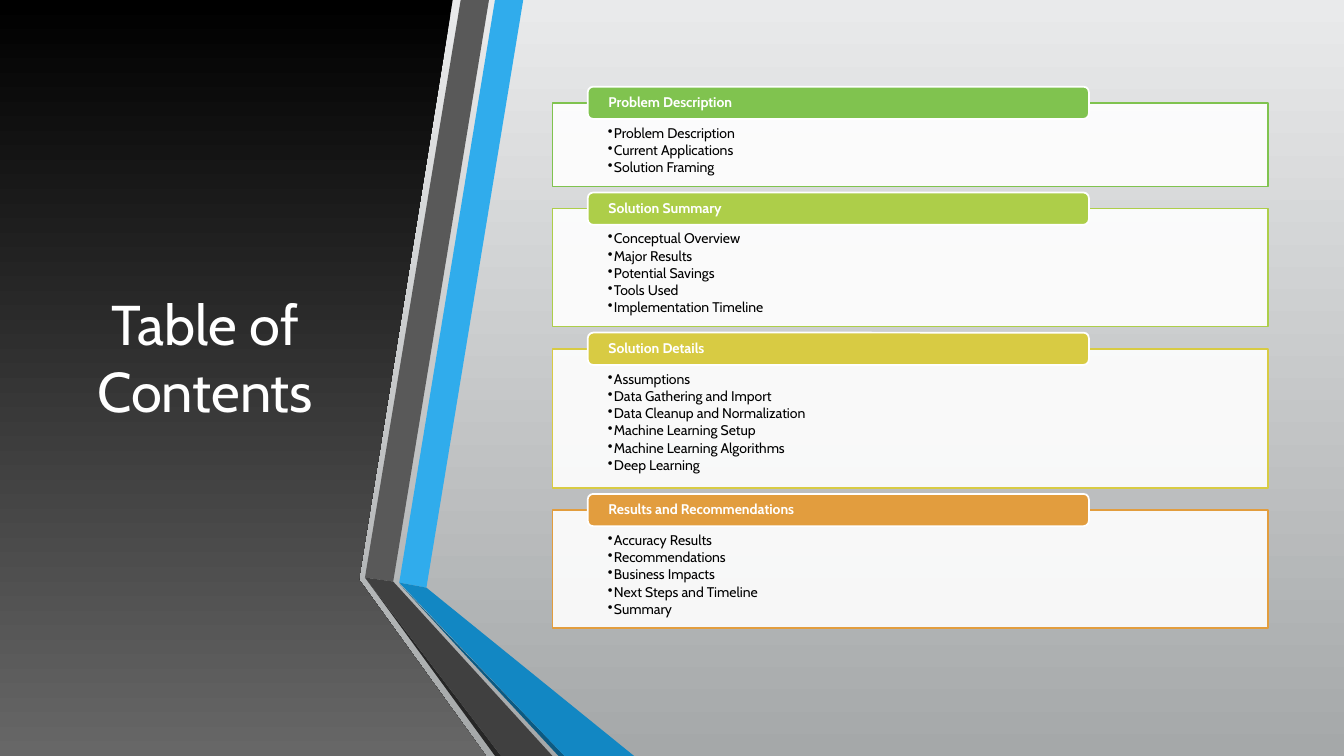
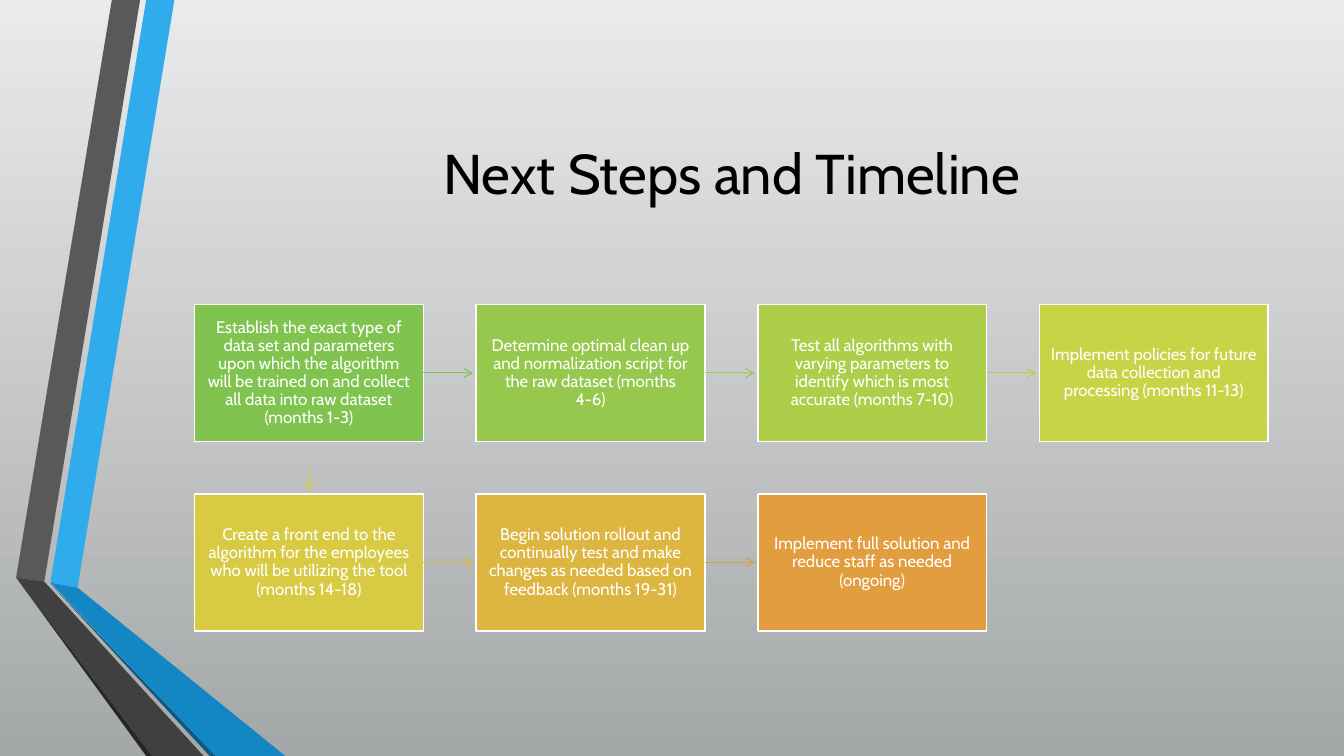
from lxml import etree
from pptx import Presentation
from pptx import util as u
from pptx.dml.color import RGBColor
from pptx.enum import shapes, text
from pptx.oxml.ns import qn

FONT = "Cabin"
COLORS = {
    "white": "FFFFFF", "black": "000000", "panel_end": "676767",
    "backdrop_top": "E9EAEB", "backdrop_end": "A5A8A9",
    "blue": "30ACEC", "blue_fold": "1287C3", "blue_edge": "0C5A82",
    "gray": "595959", "gray_fold": "404040", "gray_edge": "262626",
    "green": "80C34F", "leaf": "95C84C", "lime": "ADCE49", "citron": "C8D346",
    "yellow": "D8CB43", "amber": "DDB541", "orange": "E29D3E",
    "leaf_arrow": "9AC94B", "lime_arrow": "B8D048",
    "citron_arrow": "D6D344", "yellow_arrow": "DCBA41",
}
RGB = {name: RGBColor.from_string(value) for name, value in COLORS.items()}
BANDS = [
    ("blue", [(0.5, 5.78), (0.77, 5.83), (1.73, 0), (1.45, 0)]),
    ("gray", [(1.39, 0), (1.11, 0), (0.16, 5.73), (0.44, 5.77)]),
    ("gray_edge", [(0.16, 5.73), (1.45, 7.5), (1.51, 7.5)]),
    ("blue_edge", [(0.5, 5.79), (2.08, 7.5), (2.14, 7.5)]),
    ("blue_fold", [(0.5, 5.78), (2.14, 7.5), (2.83, 7.5), (0.77, 5.83)]),
    ("gray_fold", [(2.02, 7.5), (0.44, 5.77), (0.16, 5.73), (1.51, 7.5)]),
]
PANEL = [(0, 0), (4.49, 0), (3.56, 5.75), (4.82, 7.5), (0, 7.5)]


def add_outline(slide, points, left=0):
    corners = [(u.Inches(x + left), u.Inches(y)) for x, y in points]
    builder = slide.shapes.build_freeform(*corners[0])
    builder.add_line_segments(corners[1:])
    shape = builder.convert_to_shape()
    shape.shadow.inherit = False
    shape.line.fill.background()
    return shape


def write(shape, content, size, color, align, margins, bold=False, bullets=False, spacing=0.9):
    frame = shape.text_frame
    frame.word_wrap = True
    frame.vertical_anchor = text.MSO_ANCHOR.TOP if bullets else text.MSO_ANCHOR.MIDDLE
    side, top, bottom = (u.Inches(margin) for margin in margins)
    frame.margin_left = frame.margin_right = side
    frame.margin_top, frame.margin_bottom = top, bottom
    for index, entry in enumerate(content):
        paragraph = frame.add_paragraph() if index else frame.paragraphs[0]
        paragraph.alignment = align
        paragraph.line_spacing = spacing
        if bullets:
            paragraph.space_after = u.Pt(1.5)
            properties = paragraph._p.get_or_add_pPr()
            properties.set("marL", str(u.Inches(0.06)))
            properties.set("indent", str(-u.Inches(0.06)))
            etree.SubElement(properties, qn("a:buChar")).set("char", "•")
        for number, line in enumerate(entry.split("\n")):
            if number:
                paragraph.add_line_break()
            run = paragraph.add_run()
            run.text = line
            run.font.name = FONT
            run.font.size = u.Pt(size)
            run.font.bold = bold
            run.font.color.rgb = RGB[color]


presentation = Presentation()
presentation.slide_width = u.Inches(13.33)
presentation.slide_height = u.Inches(7.5)
blank = presentation.slide_layouts[6]
contents = presentation.slides.add_slide(blank)
timeline = presentation.slides.add_slide(blank)
panel = add_outline(contents, PANEL)

for fill, names in [
    (presentation.slide_master.background.fill, ("backdrop_top", "backdrop_end")),
    (panel.fill, ("black", "panel_end")),
]:
    fill.gradient()
    fill.gradient_angle = 270
    for stop, name in zip(fill.gradient_stops, names):
        stop.color.rgb = RGB[name]

for slide, title, color, box, band_left in [
    (contents, "Table of Contents", "white", (0.59, 0.75, 2.89, 5.58), 3.46),
    (timeline, "Next Steps and Timeline", "black", (1.93, 0.75, 10.65, 1.92), 0),
]:
    for name, points in BANDS:
        band = add_outline(slide, points, band_left)
        band.fill.solid()
        band.fill.fore_color.rgb = RGB[name]
    heading = slide.shapes.add_textbox(*(u.Inches(length) for length in box))
    write(heading, [title], 40, color, text.PP_ALIGN.CENTER, (0.1, 0.05, 0.05), spacing=1.0)

SECTIONS = [
    ("Problem Description", "green", 0.83,
     ["Problem Description", "Current Applications", "Solution Framing"]),
    ("Solution Summary", "lime", 1.17,
     ["Conceptual Overview", "Major Results", "Potential Savings", "Tools Used",
      "Implementation Timeline"]),
    ("Solution Details", "yellow", 1.38,
     ["Assumptions", "Data Gathering and Import", "Data Cleanup and Normalization",
      "Machine Learning Setup", "Machine Learning Algorithms", "Deep Learning"]),
    ("Results and Recommendations", "orange", 1.17,
     ["Accuracy Results", "Recommendations", "Business Impacts", "Next Steps and Timeline",
      "Summary"]),
]
top = 1.02
for name, color, height, topics in SECTIONS:
    card = contents.shapes.add_shape(
        shapes.MSO_SHAPE.RECTANGLE,
        u.Inches(5.48), u.Inches(top), u.Inches(7.1), u.Inches(height))
    label = contents.shapes.add_shape(
        shapes.MSO_SHAPE.ROUNDED_RECTANGLE,
        u.Inches(5.83), u.Inches(top - 0.16), u.Inches(4.97), u.Inches(0.32))
    for shape, fill, line in [(card, "white", color), (label, color, "white")]:
        shape.shadow.inherit = False
        shape.fill.solid()
        shape.fill.fore_color.rgb = RGB[fill]
        shape.line.color.rgb = RGB[line]
        shape.line.width = u.Pt(1.25)
    card_color = card._element.spPr.find(qn("a:solidFill")).find(qn("a:srgbClr"))
    etree.SubElement(card_color, qn("a:alpha")).set("val", "90000")
    write(card, topics, 10, "black", text.PP_ALIGN.LEFT, (0.55, 0.23, 0.08), bullets=True)
    write(label, [name], 10, "white", text.PP_ALIGN.LEFT, (0.19, 0, 0), bold=True)
    top += height + 0.22

STEPS = [
    ("green", "Establish the exact type of data set and parameters upon which the algorithm "
     "will be trained on and collect all data into raw dataset (months 1-3)"),
    ("leaf", "Determine optimal clean up and normalization script for the raw dataset "
     "(months\n4-6)"),
    ("lime", "Test all algorithms with varying parameters to identify which is most accurate "
     "(months 7-10)"),
    ("citron", "Implement policies for future data collection and processing (months 11-13)"),
    ("yellow", "Create a front end to the algorithm for the employees who will be utilizing "
     "the tool (months 14-18)"),
    ("amber", "Begin solution rollout and continually test and make changes as needed based "
     "on feedback (months 19-31)"),
    ("orange", "Implement full solution and reduce staff as needed (ongoing)"),
]
COLUMNS = 4
STEP_WIDTH, STEP_HEIGHT = 2.27, 1.36
ARROW_COLORS = ["green", "leaf_arrow", "lime_arrow", "citron_arrow", "yellow_arrow", "orange"]

boxes = []
for index, (color, description) in enumerate(STEPS):
    row, column = divmod(index, COLUMNS)
    box = timeline.shapes.add_shape(
        shapes.MSO_SHAPE.RECTANGLE,
        u.Inches(1.93 + column * 2.793), u.Inches(3.02 + row * 1.88),
        u.Inches(STEP_WIDTH), u.Inches(STEP_HEIGHT))
    box.shadow.inherit = False
    box.fill.solid()
    box.fill.fore_color.rgb = RGB[color]
    box.line.color.rgb = RGB["white"]
    box.line.width = u.Pt(1.25)
    write(box, [description], 12, "white", text.PP_ALIGN.CENTER, (0.11, 0.12, 0.12))
    boxes.append(box)

for index, color in enumerate(ARROW_COLORS):
    source, target = boxes[index], boxes[index + 1]
    same_row = source.top == target.top
    if same_row:
        start = (source.left + source.width, source.top + source.height // 2)
        end = (target.left - u.Inches(0.03), start[1])
    else:
        middle = target.left + target.width // 2
        start = (middle, target.top - u.Inches(0.26))
        end = (middle, target.top - u.Inches(0.03))
    arrow = timeline.shapes.add_connector(shapes.MSO_CONNECTOR.STRAIGHT, *start, *end)
    if same_row:
        arrow.begin_connect(source, 3)
    arrow.line.color.rgb = RGB[color]
    arrow.line.width = u.Pt(0.75)
    etree.SubElement(arrow.line._get_or_add_ln(), qn("a:tailEnd")).set("type", "arrow")
    etree.SubElement(arrow._element.spPr, qn("a:effectLst"))

presentation.save("out.pptx")
